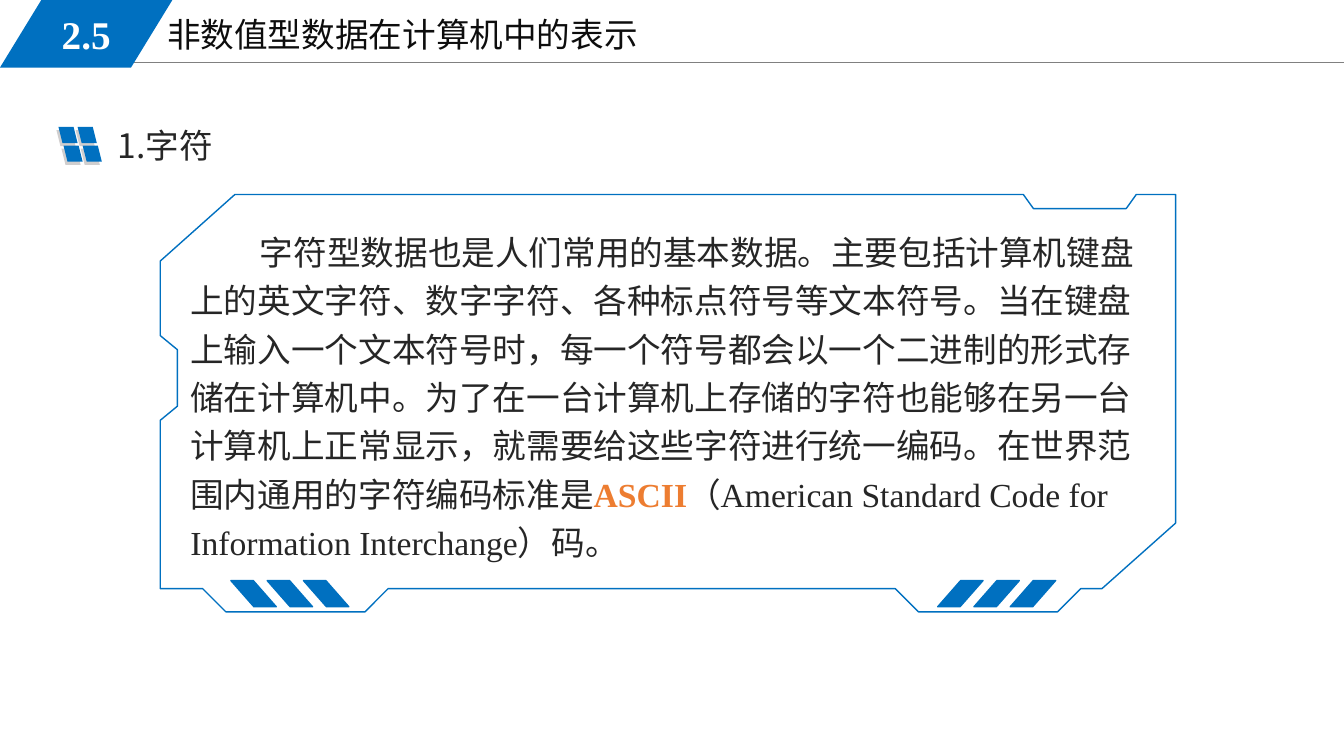
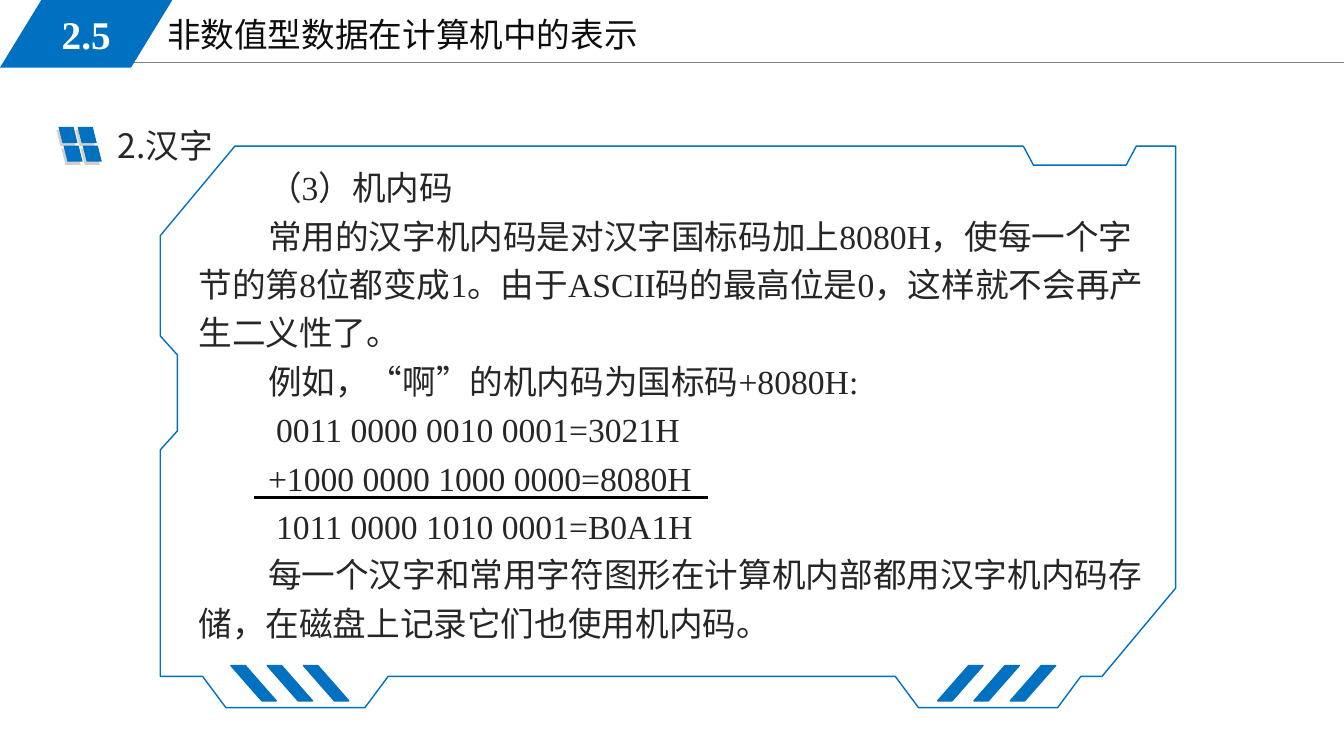
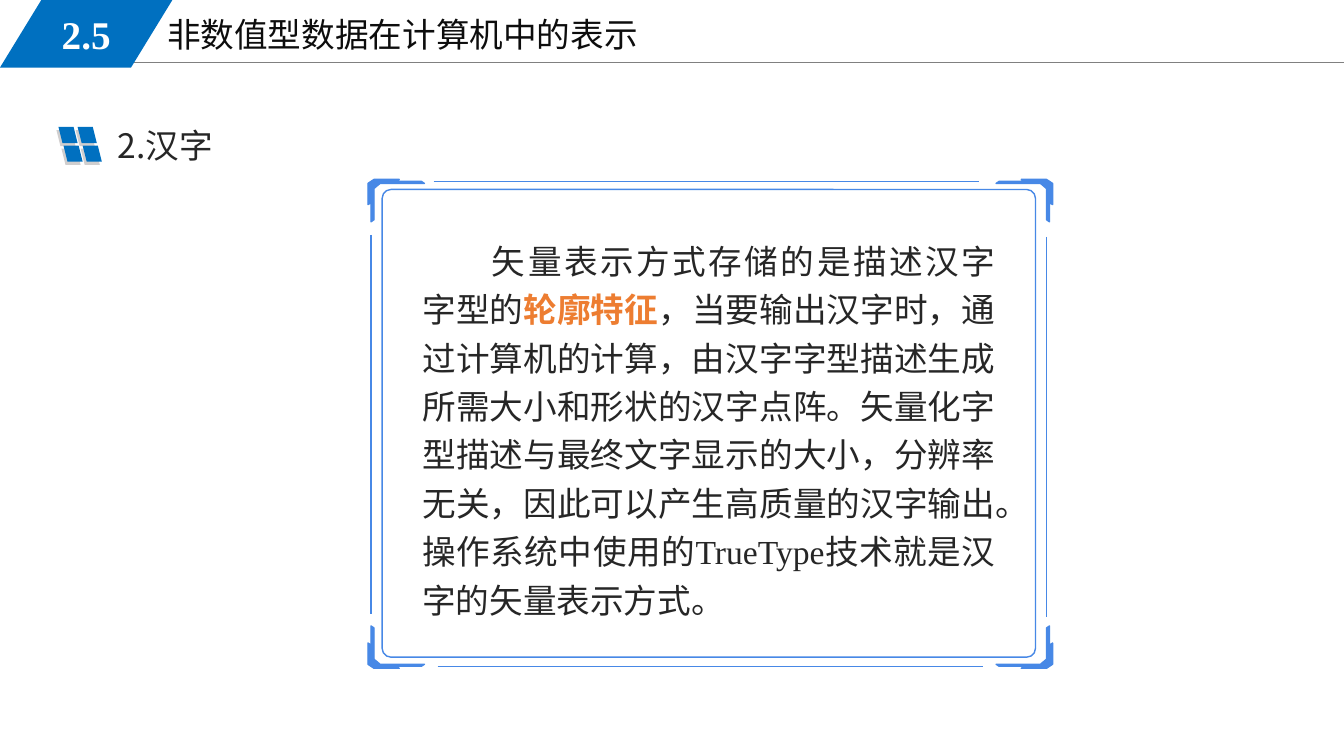
from lxml import etree
from pptx import Presentation
from pptx.dml.color import RGBColor
from pptx.enum import shapes, text
from pptx.oxml import ns
from pptx.util import Inches, Pt

BLUE = RGBColor(0x00, 0x70, 0xC0)
BRACKET_BLUE = RGBColor(0x47, 0x88, 0xE6)
ORANGE = RGBColor(0xED, 0x7D, 0x31)
INK = RGBColor(0x26, 0x26, 0x26)
TITLE_INK = RGBColor(0x0D, 0x0D, 0x0D)
GRAY = RGBColor(0x80, 0x80, 0x80)
PALE = RGBColor(0xD0, 0xCE, 0xCE)
BLACK = RGBColor(0, 0, 0)
WHITE = RGBColor(0xFF, 0xFF, 0xFF)
LATIN = "Times New Roman"
CJK = "Noto Sans CJK SC"
SHAPE = shapes.MSO_SHAPE

FRAME_HEIGHT = 4.14
# Outline of the cut-corner frame, from its top left, at FRAME_HEIGHT
FRAME_POINTS = [
    (0.74, 0), (8.56, 0), (8.66, 0.14), (9.58, 0.14), (9.68, 0), (10.07, 0),
    (10.07, 3.26), (9.34, 3.91), (9.13, 3.91), (8.9, 4.14), (7.52, 4.14),
    (7.29, 3.91), (2.26, 3.91), (2.03, 4.14), (0.65, 4.14), (0.42, 3.91),
    (0, 3.91), (0, 2.24), (0.17, 2.1), (0.17, 1.54), (0, 1.4), (0, 0.66),
]
# Outline of a corner bracket, measured inwards from the corner
BRACKET_POINTS = [
    (0.06, 0), (0.31, 0), (0.28, 0.02), (0.53, 0.02), (0.56, 0.04), (0.12, 0.04),
    (0.06, 0.09), (0.06, 0.4), (0.03, 0.42), (0.03, 0.23), (0, 0.25), (0, 0.04),
]


class Deck:
    def __init__(self):
        self.presentation = Presentation()
        self.presentation.slide_width = Inches(13.33)
        self.presentation.slide_height = Inches(7.5)
        self.slide = None

    def new_slide(self, heading):
        self.slide = self.presentation.slides.add_slide(self.presentation.slide_layouts[6])
        self.line((1.13, 0.62), (13.33, 0.62), GRAY, 0.75)
        self.text_box((1.56, 0.09, 5.67, 0.51), [[("非数值型数据在计算机中的表示", {"color": TITLE_INK})]])
        badge = self.shape(SHAPE.PARALLELOGRAM, (0, 0, 1.71, 0.67), fill=BLUE, adjustment=0.612)
        badge.text_frame.vertical_anchor = text.MSO_ANCHOR.MIDDLE
        paragraph = badge.text_frame.paragraphs[0]
        paragraph.alignment = text.PP_ALIGN.CENTER
        self.add_run(paragraph, "2.5", size=28, color=WHITE, bold=True)
        self.window_bullet()
        self.text_box((1.07, 1.19, 5.12, 0.5), [[(heading, {"font": CJK})]])

    def style(self, shape, fill=None, line=None):
        shape.shadow.inherit = False
        if fill is None:
            shape.fill.background()
        else:
            shape.fill.solid()
            shape.fill.fore_color.rgb = fill
        if line is None:
            shape.line.fill.background()
        else:
            shape.line.color.rgb = line
            shape.line.width = Pt(1)

    def shape(self, kind, box, fill=None, line=None, adjustment=None, flipped=False):
        shape = self.slide.shapes.add_shape(kind, *map(Inches, box))
        self.style(shape, fill, line)
        if adjustment is not None:
            shape.adjustments[0] = adjustment
        if flipped:
            shape.element.spPr.find(ns.qn("a:xfrm")).set("flipH", "1")
        return shape

    def outline(self, points, fill=None, line=None):
        corners = [(Inches(x), Inches(y)) for x, y in points]
        builder = self.slide.shapes.build_freeform(*corners[0], scale=1.0)
        builder.add_line_segments(corners[1:], close=True)
        self.style(builder.convert_to_shape(), fill, line)

    def line(self, start, end, color, width):
        connector = self.slide.shapes.add_connector(
            shapes.MSO_CONNECTOR.STRAIGHT, *map(Inches, start + end))
        connector.line.color.rgb = color
        connector.line.width = Pt(width)
        etree.SubElement(connector.element.spPr, ns.qn("a:effectLst"))

    def add_run(self, paragraph, words, size=24, color=INK, bold=False, font=LATIN):
        run = paragraph.add_run()
        run.text = words
        run.font.size = Pt(size)
        run.font.bold = bold
        run.font.color.rgb = color
        run.font.name = font
        east_asian = etree.SubElement(run.font._element, ns.qn("a:ea"))
        east_asian.set("typeface", CJK)

    def text_box(self, box, paragraphs, indents=None, spacing=None, alignment=None):
        """Each paragraph is a list of (words, run style) pairs."""
        frame = self.slide.shapes.add_textbox(*map(Inches, box)).text_frame
        frame.word_wrap = True
        frame.auto_size = text.MSO_AUTO_SIZE.SHAPE_TO_FIT_TEXT
        for index, runs in enumerate(paragraphs):
            paragraph = frame.add_paragraph() if index else frame.paragraphs[0]
            paragraph.line_spacing = spacing
            paragraph.alignment = alignment
            if indents:
                paragraph._p.get_or_add_pPr().set("indent", str(Inches(indents[index])))
            for words, style in runs:
                self.add_run(paragraph, words, **style)

    def body(self, box, paragraphs, indents=None, alignment=None):
        self.text_box(box, paragraphs, indents or [0.69] * len(paragraphs), 1.2, alignment)

    def window_bullet(self):
        """Four slanted panes over their pale offset."""
        for left, top, color in ((0.56, 1.29, PALE), (0.58, 1.26, BLUE)):
            for row in range(2):
                for column in range(2):
                    box = (left + 0.05 * row + 0.19 * column, top + 0.185 * row, 0.19, 0.16)
                    self.shape(SHAPE.PARALLELOGRAM, box, fill=color, flipped=True)

    def cut_frame(self, top, height):
        left, stretch = 1.59, height / FRAME_HEIGHT
        self.outline([(left + x, top + y * stretch) for x, y in FRAME_POINTS], line=BLUE)
        for first, flipped in ((2.29, True), (9.3, False)):
            for index in range(3):
                box = (first + 0.36 * index, top + 3.83 * stretch, 0.45, 0.26 * stretch)
                self.shape(SHAPE.PARALLELOGRAM, box, BLUE, BLUE, 0.878, flipped)

    def bracket_frame(self):
        self.shape(SHAPE.ROUNDED_RECTANGLE, (3.79, 1.88, 6.48, 4.64),
                   line=BRACKET_BLUE, adjustment=0.019)
        for corner_x, inward_x in ((3.65, 1), (10.44, -1)):
            for corner_y, inward_y in ((1.78, 1), (6.63, -1)):
                points = [(corner_x + inward_x * x, corner_y + inward_y * y)
                          for x, y in BRACKET_POINTS]
                self.outline(points, BRACKET_BLUE, BRACKET_BLUE)
        for start, end in (((4.3, 1.8), (9.71, 1.8)), ((4.34, 6.61), (9.75, 6.61)),
                           ((3.68, 2.33), (3.68, 6.09)), ((10.38, 2.35), (10.38, 6.12))):
            self.line(start, end, BRACKET_BLUE, 1)


def main():
    deck = Deck()
    keyword = {"color": ORANGE, "bold": True}

    deck.new_slide("1.字符")
    deck.cut_frame(1.93, 4.14)
    deck.body((1.79, 2.17, 9.67, 3.45), [[
        ("字符型数据也是人们常用的基本数据。主要包括计算机键盘上的英文字符、数字字符、"
         "各种标点符号等文本符号。当在键盘上输入一个文本符号时，每一个符号都会以一个"
         "二进制的形式存储在计算机中。为了在一台计算机上存储的字符也能够在另一台计算机上"
         "正常显示，就需要给这些字符进行统一编码。在世界范围内通用的字符编码标准是",
         {"font": CJK}),
        ("ASCII", keyword),
        ("（American Standard Code for Information Interchange）", {}),
        ("码。", {"font": CJK}),
    ]])

    deck.new_slide("2.汉字")
    deck.cut_frame(1.45, 5.57)
    lines = [
        "（3）机内码",
        "常用的汉字机内码是对汉字国标码加上8080H，使每一个字节的第8位都变成1。"
        "由于ASCII码的最高位是0，这样就不会再产生二义性了。",
        "例如，“啊”的机内码为国标码+8080H:",
        "0011 0000 0010 0001=3021H",
        "+1000 0000 1000 0000=8080H",
        "1011 0000 1010 0001=B0A1H",
        "每一个汉字和常用字符图形在计算机内部都用汉字机内码存储，"
        "在磁盘上记录它们也使用机内码。",
    ]
    deck.body((1.87, 1.53, 9.78, 5.39), [[(words, {})] for words in lines],
              indents=[0.69, 0.69, 0.69, 0.77, 0.69, 0.77, 0.69])
    deck.line((2.52, 4.94), (7.02, 4.94), BLACK, 2.25)

    deck.new_slide("2.汉字")
    deck.bracket_frame()
    deck.body((4.09, 2.26, 5.88, 3.94), [[
        ("矢量表示方式存储的是描述汉字字型的", {}),
        ("轮廓特征", keyword),
        ("，当要输出汉字时，通过计算机的计算，由汉字字型描述生成所需大小和形状的汉字点阵。"
         "矢量化字型描述与最终文字显示的大小，分辨率无关，因此可以产生高质量的汉字输出。"
         "操作系统中使用的TrueType技术就是汉字的矢量表示方式。", {}),
    ]], alignment=text.PP_ALIGN.JUSTIFY)

    deck.presentation.save("out.pptx")


if __name__ == "__main__":
    main()
